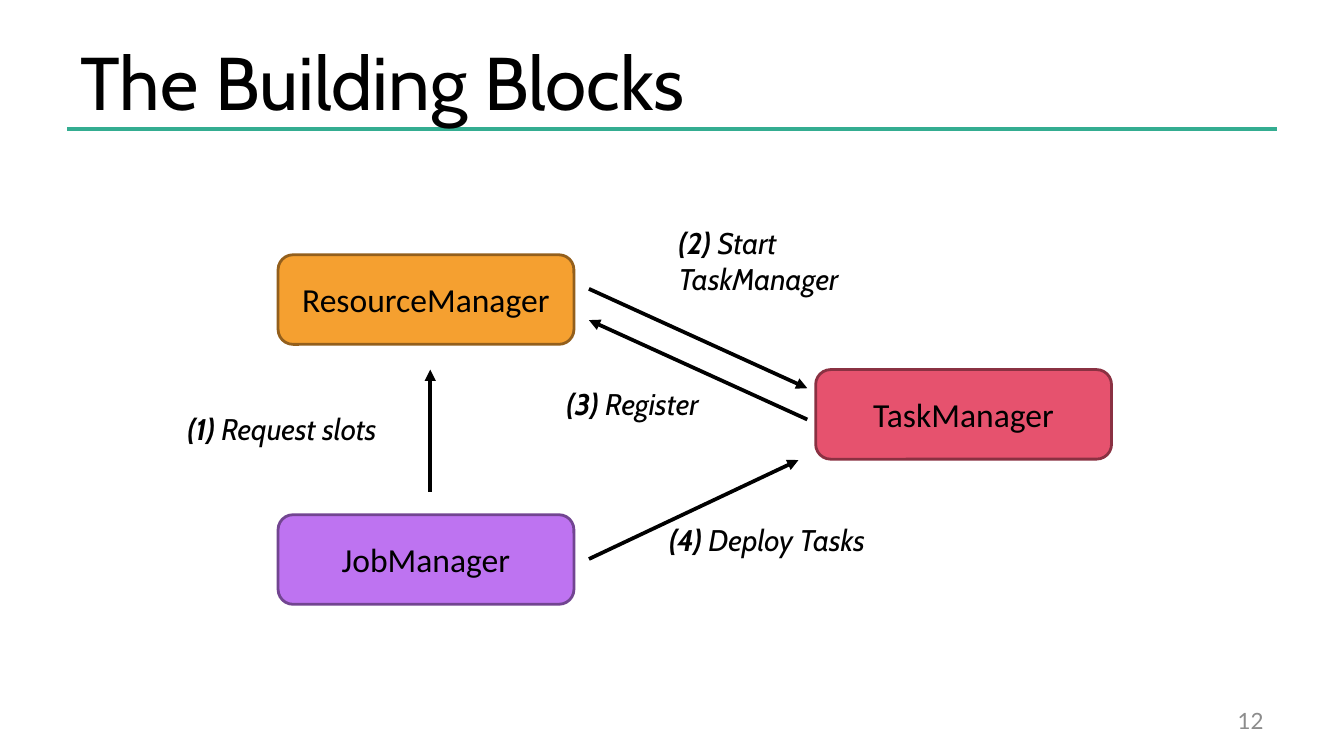
from lxml import etree
from pptx import Presentation
from pptx.dml.color import RGBColor
from pptx.enum.shapes import MSO_CONNECTOR, MSO_SHAPE
from pptx.enum.text import MSO_ANCHOR, PP_ALIGN
from pptx.oxml.ns import qn
from pptx.util import Pt

STRAIGHT = MSO_CONNECTOR.STRAIGHT
ROUNDED = MSO_SHAPE.ROUNDED_RECTANGLE
TOP, MIDDLE = MSO_ANCHOR.TOP, MSO_ANCHOR.MIDDLE
LEFT, CENTER, RIGHT = PP_ALIGN.LEFT, PP_ALIGN.CENTER, PP_ALIGN.RIGHT

BLACK = RGBColor(0x00, 0x00, 0x00)
GRAY = RGBColor(0x8C, 0x8C, 0x8C)
TEAL = RGBColor(0x34, 0xAD, 0x91)
ORANGE = RGBColor(0xF5, 0xA0, 0x30)
DARK_ORANGE = RGBColor(0x93, 0x5F, 0x1C)
RED = RGBColor(0xE6, 0x52, 0x6E)
DARK_RED = RGBColor(0x8A, 0x31, 0x42)
PURPLE = RGBColor(0xBE, 0x73, 0xF1)
DARK_PURPLE = RGBColor(0x72, 0x45, 0x91)

prs = Presentation()
prs.slide_width, prs.slide_height = Pt(720), Pt(405)
slide = prs.slides.add_slide(prs.slide_layouts[6])


def write(shape, runs, font, align=LEFT, anchor=TOP, wrap=True):
    """Fill a shape with one paragraph of (text, extra font values) runs."""
    frame = shape.text_frame
    frame.word_wrap = wrap
    frame.vertical_anchor = anchor
    paragraph = frame.paragraphs[0]
    paragraph.alignment = align
    for text, extra in runs:
        run = paragraph.add_run()
        run.text = text
        values = {**font, **extra}
        run.font.color.rgb = values.pop("color", BLACK)
        for attribute, value in values.items():
            setattr(run.font, attribute, value)


def draw_line(start, end, color, arrow=True):
    """Draw a 2 pt line, with an arrowhead at its end if wanted."""
    line = slide.shapes.add_connector(STRAIGHT, *map(Pt, start + end))
    line.line.color.rgb = color
    line.line.width = Pt(2)
    if arrow:
        outline = line.line._get_or_add_ln()
        etree.SubElement(outline, qn("a:tailEnd"), type="triangle")
    etree.SubElement(line._element.spPr, qn("a:effectLst"))


# Title, rule and page number
draw_line((36, 69), (684, 69), TEAL, arrow=False)
title = slide.shapes.add_textbox(Pt(36), Pt(16.5), Pt(648), Pt(53))
write(title, [("The Building Blocks", {})],
      {"name": "Cabin", "size": Pt(40)}, anchor=MIDDLE)
page_number = slide.shapes.add_textbox(Pt(516), Pt(375), Pt(168), Pt(21.6))
write(page_number, [("12", {})],
      {"name": "Lato", "size": Pt(12), "color": GRAY}, RIGHT, MIDDLE)

# Components
component_font = {"name": "Calibri", "size": Pt(18)}
for name, left, top, fill, border in [
    ("ResourceManager", 149, 136.5, ORANGE, DARK_ORANGE),
    ("TaskManager", 437, 198, RED, DARK_RED),
    ("JobManager", 149, 275.75, PURPLE, DARK_PURPLE),
]:
    component = slide.shapes.add_shape(
        ROUNDED, Pt(left), Pt(top), Pt(158.5), Pt(48))
    component.shadow.inherit = False
    component.fill.solid()
    component.fill.fore_color.rgb = fill
    component.line.color.rgb = border
    component.line.width = Pt(1.5)
    for side in ("left", "right", "top", "bottom"):
        setattr(component.text_frame, f"margin_{side}", 0)
    write(component, [(name, {})], component_font, CENTER, MIDDLE, wrap=False)

# Numbered steps: label position and height, then arrow start and end
step_font = {"name": "Cabin", "size": Pt(16), "italic": True}
steps = [
    ("Request slots", 93.5, 216.75, 26.6, (230.5, 263.5), (230.5, 198)),
    ("Start TaskManager", 356.5, 116.75, 46, (315.5, 154.75), (432.5, 208)),
    ("Register", 296.5, 203.25, 26.6, (432.5, 224.75), (315.5, 171.5)),
    ("Deploy Tasks", 351.5, 275.75, 26.6, (315.5, 299.5), (427.75, 246.5)),
]
for number, (action, left, top, height, start, end) in enumerate(steps, 1):
    draw_line(start, end, BLACK)
    label = slide.shapes.add_textbox(Pt(left), Pt(top), Pt(126.75), Pt(height))
    write(label, [(f"({number}) ", {"bold": True}), (action, {"bold": False})],
          step_font)

prs.save("out.pptx")
